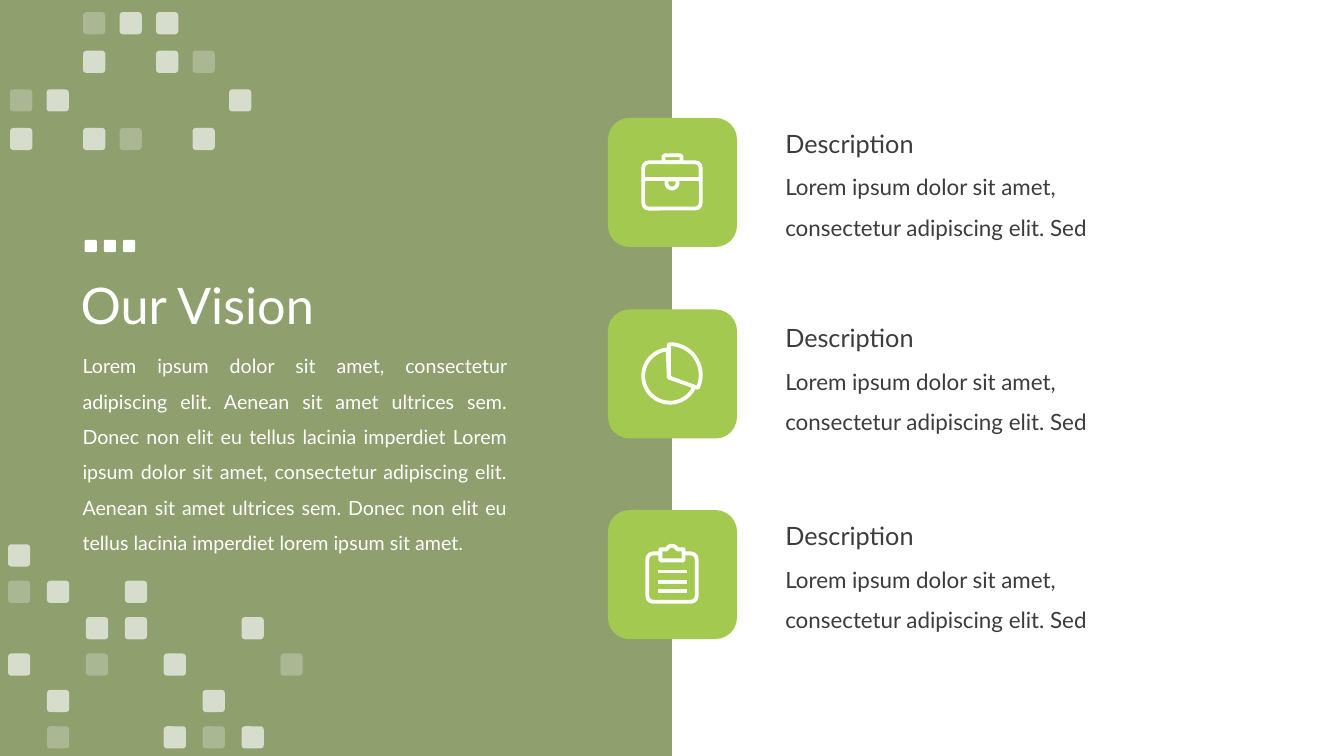
"""Build the "Our Vision" slide: a green panel, tile patterns and three icon rows."""
from math import cos, radians, sin
from lxml.etree import SubElement
from pptx import Presentation
from pptx.dml.color import RGBColor as RGB
from pptx.enum.shapes import MSO_CONNECTOR as LINK, MSO_SHAPE as KIND
from pptx.enum.text import MSO_ANCHOR as ANCHOR, MSO_AUTO_SIZE as AUTO, PP_ALIGN as ALIGN
from pptx.oxml.ns import qn
from pptx.util import Inches as In, Pt

HUES = {"panel": "546C21", "lime": "A3C951", "white": "FFFFFF", "ink": "3C3C3C"}
RGBS = {name: RGB.from_string(hue) for name, hue in HUES.items()}
WIDE, HIGH = 13.33, 7.5

deck = Presentation()
deck.slide_width, deck.slide_height = In(WIDE), In(HIGH)
slide = deck.slides.add_slide(deck.slide_layouts[5])
shapes = slide.shapes


def block(kind, left, top, wide, high, hue, alpha=100):
    """Add a filled shape without a line."""
    shape = shapes.add_shape(kind, In(left), In(top), In(wide), In(high))
    shape.shadow.inherit = False
    shape.fill.solid()
    shape.fill.fore_color.rgb = RGBS[hue]
    shape.line.fill.background()
    if alpha < 100:
        tint = shape.element.spPr.find(".//" + qn("a:srgbClr"))
        SubElement(tint, qn("a:alpha")).set("val", str(alpha * 1000))
    return shape


def write(box, text, size, hue, space, align=ALIGN.LEFT):
    """Fill a text frame with one paragraph."""
    frame = box.text_frame
    frame.word_wrap = True
    frame.text = text
    para = frame.paragraphs[0]
    para.alignment, para.line_spacing = align, space
    para.font.name, para.font.size = "Lato", Pt(size)
    para.font.color.rgb = RGBS[hue]


panel = block(KIND.RECTANGLE, 0, 0, WIDE / 2, HIGH, "panel", 65)
shapes.element.insert(2, panel.element)

title = shapes.title
title.left, title.top, title.width, title.height = In(0.7), In(2.22), In(11.5), In(1.67)
write(title, "Our Vision", 36, "white", 0.9)
title.text_frame.vertical_anchor = ANCHOR.MIDDLE

story = shapes.add_textbox(In(0.72), In(3.35), In(4.41), In(2.17))
write(story, "Lorem ipsum dolor sit amet, consectetur adipiscing elit. Aenean sit amet "
      "ultrices sem. Donec non elit eu tellus lacinia imperdiet Lorem ipsum dolor sit amet, "
      "consectetur adipiscing elit. Aenean sit amet ultrices sem. Donec non elit eu tellus "
      "lacinia imperdiet lorem ipsum sit amet.", 14, "white", 1.5, ALIGN.JUSTIFY)
story.text_frame.auto_size = AUTO.SHAPE_TO_FIT_TEXT

for top, head in (1.17, 1.22), (3.07, 3.15), (5.06, 5.11):
    block(KIND.ROUNDED_RECTANGLE, 6.03, top, 1.28, 1.28, "lime")
    for text, size, y, wide, high, space in (
            ("Lorem ipsum dolor sit amet, consectetur adipiscing elit. Sed",
             16, head + 0.32, 3.98, 0.86, 1.5),
            ("Description", 18, head, 2.35, 0.4, 1.0)):
        box = shapes.add_textbox(In(7.69), In(y), In(wide), In(high))
        write(box, text, size, "ink", space)
        box.text_frame.auto_size = AUTO.SHAPE_TO_FIT_TEXT

for col in range(3):
    dot = block(KIND.ROUNDED_RECTANGLE, 0.84 + 0.19 * col, 2.38, 0.12, 0.12, "white")
    dot.adjustments[0] = 0.12

SHADES = {"#": 65, "+": 25}
TILES = (
    (0.1, 0.12, 0.362, 0.383, ("  +##", "  # #+", "+#    #", "# #+ #")),
    (0.08, 5.4, 0.386, 0.361, ("#", "+# #", "  ##  #", "# + #  +", " #   #", " +  #+#")),
)
for left, top, across, down, rows in TILES:
    for row, marks in enumerate(rows):
        for col, mark in enumerate(marks):
            if mark in SHADES:
                tile = block(KIND.ROUNDED_RECTANGLE, left + across * col, top + down * row,
                             0.22, 0.22, "white", SHADES[mark])
                tile.adjustments[0] = 0.15

FRAMES = ((6.58, 1.54, 0.18, 0.07, 0.3), (6.38, 1.61, 0.57, 0.46, 0.12),
          (6.42, 5.49, 0.49, 0.48, 0.12))
for left, top, wide, high, curve in FRAMES:
    frame = block(KIND.ROUNDED_RECTANGLE, left, top, wide, high, "lime")
    frame.adjustments[0] = curve
    frame.line.color.rgb, frame.line.width = RGBS["white"], Pt(2.75)

RULES = ((6.38, 6.95, 1.78), (6.53, 6.81, 5.67), (6.53, 6.81, 5.77), (6.53, 6.81, 5.865))
for start, end, y in RULES:
    rule = shapes.add_connector(LINK.STRAIGHT, In(start), In(y), In(end), In(y))
    rule.line.color.rgb, rule.line.width = RGBS["white"], Pt(2.75)
    SubElement(rule.element.spPr, qn("a:effectLst"))

ARCS = (
    ((6.665, 1.815), 0.055, 0, 180, [(6.61, 1.78), (6.72, 1.78)]),
    ((6.645, 3.73), 0.265, 20, 265, [(6.635, 3.745)]),
    ((6.645, 3.72), 0.305, -92, 25, [(6.635, 3.745)]),
    ((6.665, 5.47), 0.055, 200, 340,
     [(6.78, 5.45), (6.78, 5.56), (6.55, 5.56), (6.55, 5.45)]),
)
for (x, y), size, start, end, rest in ARCS:
    turns = [radians(start + (end - start) * step / 36) for step in range(37)]
    points = [(x + size * cos(turn), y + size * sin(turn)) for turn in turns] + rest
    pen, *others = [(In(a), In(b)) for a, b in points]
    maker = shapes.build_freeform(*pen)
    maker.add_line_segments(others)
    sign = maker.convert_to_shape()
    sign.shadow.inherit = False
    sign.fill.solid()
    sign.fill.fore_color.rgb = RGBS["lime"]
    sign.line.color.rgb, sign.line.width = RGBS["white"], Pt(2.75)

deck.save("out.pptx")
